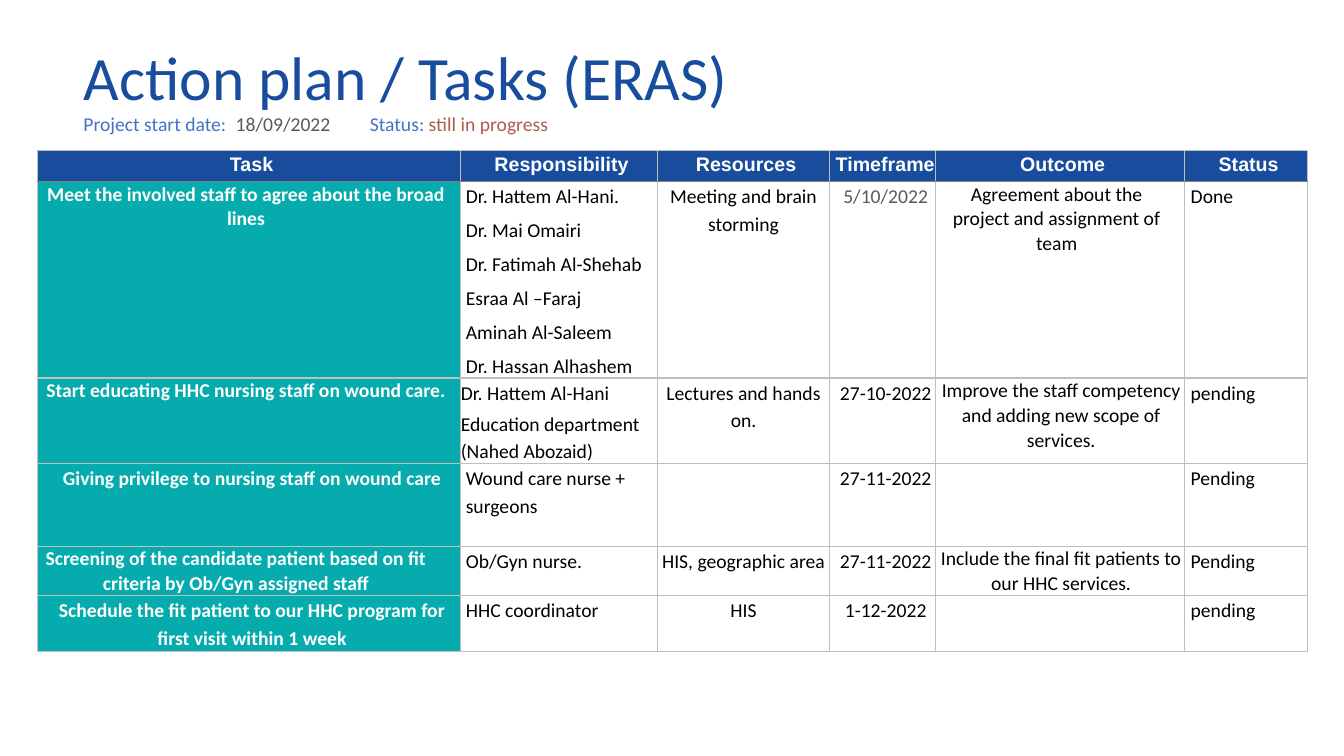
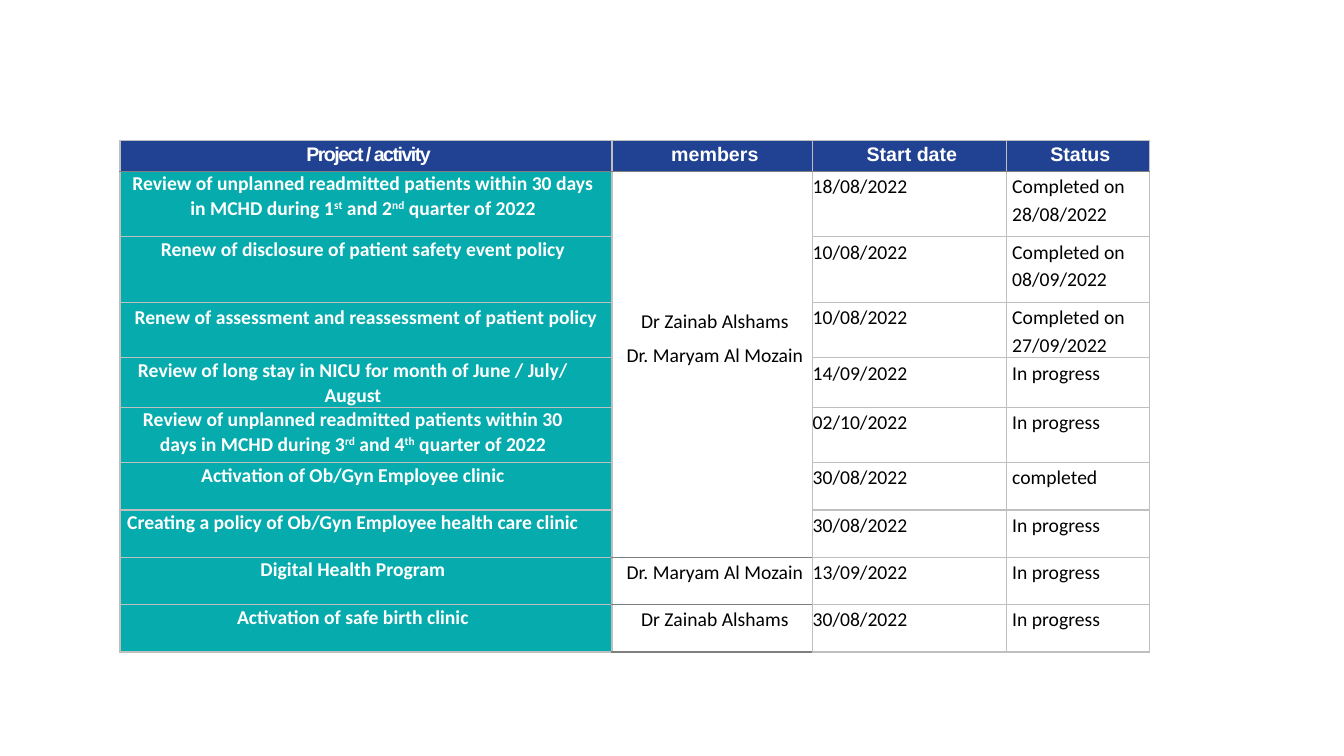
from dataclasses import dataclass, replace

from lxml.etree import SubElement
from pptx import Presentation
from pptx.dml.color import RGBColor
from pptx.enum.text import MSO_ANCHOR, MSO_AUTO_SIZE, PP_ALIGN
from pptx.oxml.ns import qn
from pptx.util import Inches, Pt

COLORS = {
    "blue": "184D9D", "navy": "214293", "teal": "05ABAD", "white": "FFFFFF",
    "black": "000000", "gray": "595959", "label": "4472C4", "rust": "AD5C4D",
    "light_rule": "BFBFBF", "dark_rule": "7F7F7F",
}
TITLE_ONLY, BLANK = 5, 6


@dataclass(frozen=True)
class CellStyle:
    fill: str = "white"
    color: str = "black"
    font: str = "Calibri"
    bold: bool = False
    align: PP_ALIGN = PP_ALIGN.LEFT
    line: float = 1.15
    before: float = 4.7
    left: float = 0.06
    right: float = 0
    top: float = 0
    tracking: int = 0
    rule_above: str = "light_rule"
    rule_below: str = "light_rule"


PLAIN = CellStyle()
FLUSH = replace(PLAIN, left=0)
PEOPLE = replace(PLAIN, left=0.05)
CENTERED = replace(PLAIN, align=PP_ALIGN.CENTER)
RESOURCE = replace(CENTERED, left=0)
OUTCOME = replace(CENTERED, line=1.04, left=0.05, right=0.03)
HEADER = replace(CENTERED, fill="blue", color="white", font="Arial", bold=True,
                 left=0.05, rule_below="dark_rule")
TASK = replace(CENTERED, fill="teal", color="white", bold=True, line=1.04, right=0.12)
TASK_OPEN = replace(TASK, line=1.15, right=0)
TASK_NARROW = replace(TASK, right=0.32)
MEMBERS = replace(CENTERED, left=0.05, rule_above="dark_rule", rule_below="dark_rule")


def rgb(name):
    return RGBColor.from_string(COLORS[name])


def add_borders(cell, style):
    rules = {"lnL": "light_rule", "lnR": "light_rule",
             "lnT": style.rule_above, "lnB": style.rule_below}
    properties = cell._tc.get_or_add_tcPr()
    for side, color in rules.items():
        line = SubElement(properties, qn(f"a:{side}"), w=str(Pt(1)))
        fill = SubElement(line, qn("a:solidFill"))
        SubElement(fill, qn("a:srgbClr"), val=COLORS[color])


def write_paragraph(para, text, style):
    """Write one paragraph; parts between ^ marks are superscript."""
    para.alignment = style.align
    para.line_spacing = style.line
    para.space_before = Pt(style.before)
    para.font.name = style.font
    para.font.size = Pt(14)
    para.font.bold = style.bold
    para.font.color.rgb = rgb(style.color)
    for index, part in enumerate(text.split("^")):
        if not part:
            continue
        span = para.add_run()
        span.text = part
        if index % 2:
            span._r.get_or_add_rPr().set("baseline", "30000")
        if style.tracking:
            span._r.get_or_add_rPr().set("spc", str(style.tracking))


def fill_cell(cell, text, style):
    add_borders(cell, style)
    cell.fill.solid()
    cell.fill.fore_color.rgb = rgb(style.fill)
    cell.margin_left, cell.margin_right = Inches(style.left), Inches(style.right)
    cell.margin_top, cell.margin_bottom = Inches(style.top), 0
    cell.vertical_anchor = MSO_ANCHOR.TOP
    frame = cell.text_frame
    for index, line in enumerate(text.split("\n")):
        para = frame.add_paragraph() if index else frame.paragraphs[0]
        write_paragraph(para, line, style)


def place_table(page, left, top, widths, heights, header, columns, rows):
    """Fill a table; an entry is text in its column's style or (text, style)."""
    frame = page.shapes.add_table(
        len(heights), len(widths), Inches(left), Inches(top),
        Inches(sum(widths)), Inches(sum(heights)))
    table = frame.table
    table.horz_banding = False
    for column, width in zip(table.columns, widths):
        column.width = Inches(width)
    for row, height in zip(table.rows, heights):
        row.height = Inches(height)
    styles = [[HEADER] * len(widths)] + [columns] * len(rows)
    for row_index, (entries, row_styles) in enumerate(zip([header] + rows, styles)):
        for column_index, (entry, style) in enumerate(zip(entries, row_styles)):
            text, style = entry if isinstance(entry, tuple) else (entry, style)
            if row_index == 1:
                style = replace(style, rule_above="dark_rule")
            fill_cell(table.cell(row_index, column_index), text, style)
    return table


def place_title(page, left, top, width, height, text):
    title = page.shapes.title
    title.left, title.top = Inches(left), Inches(top)
    title.width, title.height = Inches(width), Inches(height)
    frame = title.text_frame
    frame.text = text
    frame.auto_size = MSO_AUTO_SIZE.NONE
    frame.vertical_anchor = MSO_ANCHOR.MIDDLE
    para = frame.paragraphs[0]
    para.alignment = PP_ALIGN.LEFT
    para.line_spacing = 0.9
    para.font.name = "Calibri"
    para.font.size = Pt(44)
    para.font.color.rgb = rgb("blue")


def place_project_status(page, left, top, width, height):
    box = page.shapes.add_textbox(Inches(left), Inches(top), Inches(width), Inches(height))
    frame = box.text_frame
    frame.word_wrap = True
    frame.vertical_anchor = MSO_ANCHOR.MIDDLE
    para = frame.paragraphs[0]
    para.font.name = "Calibri"
    para.font.size = Pt(14)
    tabs = SubElement(para._p.get_or_add_pPr(), qn("a:tabLst"))
    para._p.pPr.insert(0, tabs)
    for position in (1.51, 2.84):
        SubElement(tabs, qn("a:tab"), pos=str(Inches(position)), algn="l")
    parts = [("Project start date:\t", "label"), ("18/09/2022\t", "gray"),
             ("Status: ", "label"), ("still in progress", "rust")]
    for text, color in parts:
        span = para.add_run()
        span.text = text
        span.font.color.rgb = rgb(color)


def build_action_plan(deck):
    page = deck.slides.add_slide(deck.slide_layouts[TITLE_ONLY])
    place_title(page, 0.73, 0.23, 9.65, 1.14, "Action plan / Tasks (ERAS)")
    place_project_status(page, 0.73, 1.03, 6.26, 0.4)
    team = "\n".join(["Dr. Hattem Al-Hani.", "Dr. Mai Omairi", "Dr. Fatimah Al-Shehab",
                      "Esraa Al –Faraj", "Aminah Al-Saleem", "Dr. Hassan Alhashem"])
    educators = "Dr. Hattem Al-Hani\nEducation department (Nahed Abozaid)"
    rows = [
        ["Meet the involved staff to agree about the broad lines", team,
         "Meeting and brain storming", ("5/10/2022", replace(CENTERED, color="gray")),
         ("Agreement about the project and assignment of team",
          replace(OUTCOME, right=0.12)), "Done"],
        ["Start educating HHC nursing staff on wound care.",
         (educators, replace(FLUSH, before=2.6)), "Lectures and hands on.", "27-10-2022",
         "Improve the staff competency and adding new scope of services.", "pending"],
        [("Giving privilege to nursing staff on wound care", TASK_OPEN),
         "Wound care nurse + surgeons", "", "27-11-2022", "", "Pending"],
        [("Screening of the candidate patient based on fit criteria by Ob/Gyn assigned staff",
          TASK_NARROW), "Ob/Gyn nurse.", "HIS, geographic area", "27-11-2022",
         "Include the final fit patients to our HHC services.", "Pending"],
        [("Schedule the fit patient to our HHC program for first visit within 1 week",
          TASK_OPEN), "HHC coordinator", "HIS", "1-12-2022", "", "pending"],
    ]
    place_table(
        page, 0.37, 1.49,
        widths=[4.2, 1.95, 1.71, 1.05, 2.47, 1.22],
        heights=[0.31, 1.95, 0.85, 0.82, 0.49, 0.55],
        header=["Task", "Responsibility", "Resources", "Timeframe", "Outcome", "Status"],
        columns=[TASK, PEOPLE, RESOURCE, CENTERED, OUTCOME, PLAIN], rows=rows)


def build_project_list(deck):
    page = deck.slides.add_slide(deck.slide_layouts[BLANK])
    zainab, maryam = "Dr Zainab Alshams", "Dr. Maryam Al Mozain"
    both = (f"{zainab}\n{maryam}", replace(MEMBERS, top=1.34))
    rows = [
        [("Review of unplanned readmitted patients within 30 days in MCHD during "
          "1^st^ and 2^nd^ quarter of 2022", TASK),
         both, "18/08/2022", "Completed on 28/08/2022"],
        [("Renew of disclosure of patient safety event policy", TASK),
         "", "10/08/2022", "Completed on 08/09/2022"],
        [("Renew of assessment and reassessment of patient policy",
          replace(TASK_OPEN, right=0.06)), "", "10/08/2022", "Completed on 27/09/2022"],
        ["Review of long stay in NICU for month of June / July/ August",
         "", "14/09/2022", "In progress"],
        ["Review of unplanned readmitted patients within 30 days in MCHD during "
         "3^rd^ and 4^th^ quarter of 2022", "", "02/10/2022", "In progress"],
        ["Activation of Ob/Gyn Employee clinic", "", "30/08/2022", "completed"],
        ["Creating a policy of Ob/Gyn Employee health care clinic",
         "", "30/08/2022", "In progress"],
        ["Digital Health Program", maryam, "13/09/2022", "In progress"],
        ["Activation of safe birth clinic", zainab, "30/08/2022", "In progress"],
    ]
    navy_header = replace(HEADER, fill="navy")
    header = [("Project / activity", replace(navy_header, tracking=-110))]
    header += [(text, navy_header) for text in ("members", "Start date", "Status")]
    table = place_table(
        page, 1.19, 1.39,
        widths=[4.88, 1.99, 1.92, 1.42],
        heights=[0.31, 0.65, 0.65, 0.55, 0.49, 0.55] + [0.47] * 4,
        header=header, columns=[TASK_NARROW, MEMBERS, FLUSH, PLAIN], rows=rows)
    table.cell(1, 1).merge(table.cell(7, 1))


def main():
    deck = Presentation()
    deck.slide_width, deck.slide_height = Inches(13.33), Inches(7.5)
    build_action_plan(deck)
    build_project_list(deck)
    deck.save("out.pptx")


if __name__ == "__main__":
    main()
